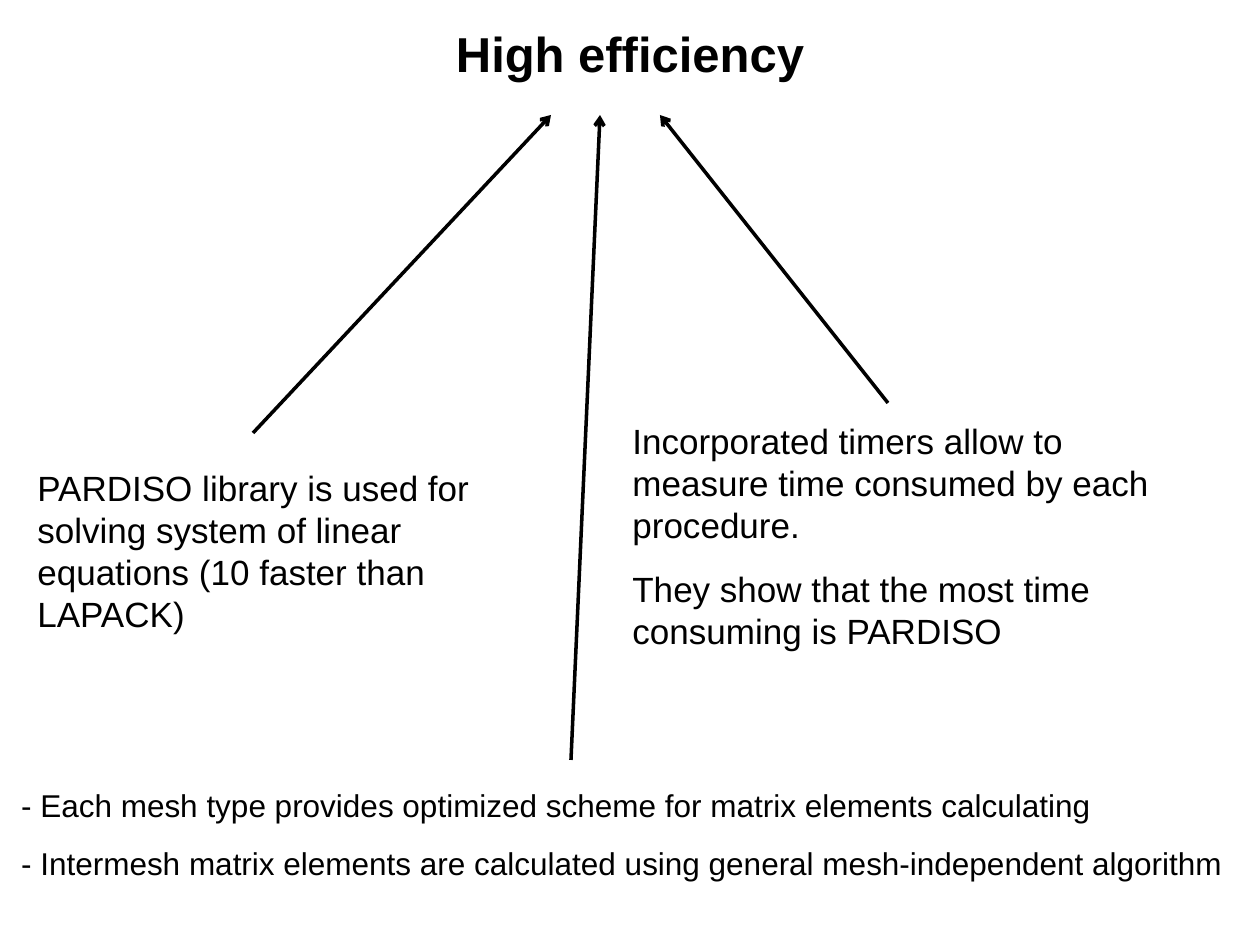
from lxml.etree import SubElement
from pptx import Presentation
from pptx.dml.color import RGBColor
from pptx.enum.shapes import MSO_CONNECTOR
from pptx.enum.text import MSO_ANCHOR, PP_ALIGN
from pptx.oxml.ns import qn
from pptx.util import Pt

EMU_PER_PX = 914400 / 126
COLORS = {"ink": "000000", "paper": "FFFFFF"}
FONT = "Arial"


def px(length):
    return round(length * EMU_PER_PX)


class SlideBuilder:
    def __init__(self, deck):
        self.page = deck.slides.add_slide(deck.slide_layouts[5])
        fill = self.page.background.fill
        fill.solid()
        fill.fore_color.rgb = RGBColor.from_string(COLORS["paper"])

    def add_span(self, para, text, size, bold=False):
        span = para.add_run()
        span.text = text
        span.font.name = FONT
        span.font.size = Pt(size)
        span.font.bold = bold
        span.font.color.rgb = RGBColor.from_string(COLORS["ink"])

    def title(self, text, left, top, width, height):
        box = self.page.shapes.title
        box.left, box.top = px(left), px(top)
        box.width, box.height = px(width), px(height)
        frame = box.text_frame
        frame.vertical_anchor = MSO_ANCHOR.MIDDLE
        para = frame.paragraphs[0]
        para.alignment = PP_ALIGN.CENTER
        self.add_span(para, text, 28, bold=True)

    def text(self, paragraphs, left, top, width, height, size, gap=0):
        box = self.page.shapes.add_textbox(px(left), px(top), px(width), px(height))
        frame = box.text_frame
        frame.word_wrap = True
        for index, text in enumerate(paragraphs):
            para = frame.add_paragraph() if index else frame.paragraphs[0]
            para.space_before = Pt(gap if index else 0)
            self.add_span(para, text, size)

    def arrow(self, start, end):
        line = self.page.shapes.add_connector(
            MSO_CONNECTOR.STRAIGHT, *map(px, start + end))
        line.line.width = Pt(2)
        line.line.color.rgb = RGBColor.from_string(COLORS["ink"])
        SubElement(line.line._get_or_add_ln(), qn("a:tailEnd"), type="arrow")
        SubElement(line._element.spPr, qn("a:effectLst"))


def main():
    deck = Presentation()
    deck.slide_width, deck.slide_height = px(1260), px(945)
    slide = SlideBuilder(deck)

    # Claim
    slide.title("High efficiency", 0, 0, 1260, 106)

    # Supporting reasons
    slide.text(["Incorporated timers allow to measure time consumed by each procedure.",
                "They show that the most time consuming is PARDISO"],
               620, 413, 586, 244, size=20, gap=12.5)
    slide.text(["PARDISO library is used for solving system of linear equations "
                "(10 faster than LAPACK)"],
               25, 460, 476, 181, size=20)
    slide.text([" - Each mesh type provides optimized scheme for matrix elements calculating",
                " - Intermesh matrix elements are calculated using general "
                "mesh-independent algorithm"],
               0, 780, 1260, 108, size=18, gap=11.2)

    # Arrows from each reason up to the claim
    arrow_top = 115
    for start, end_x in [((253, 433), 551), ((888, 403), 660), ((571, 760), 600)]:
        slide.arrow(start, (end_x, arrow_top))

    deck.save("out.pptx")


if __name__ == "__main__":
    main()
